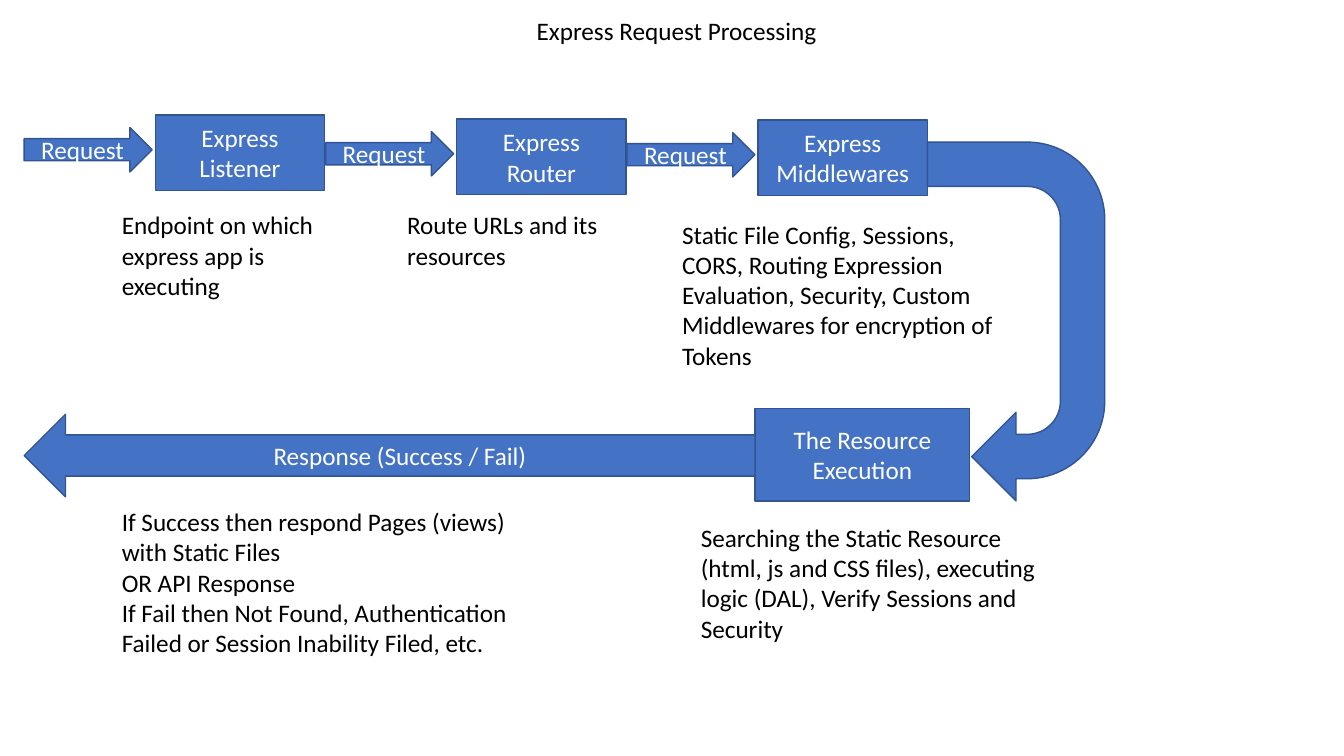
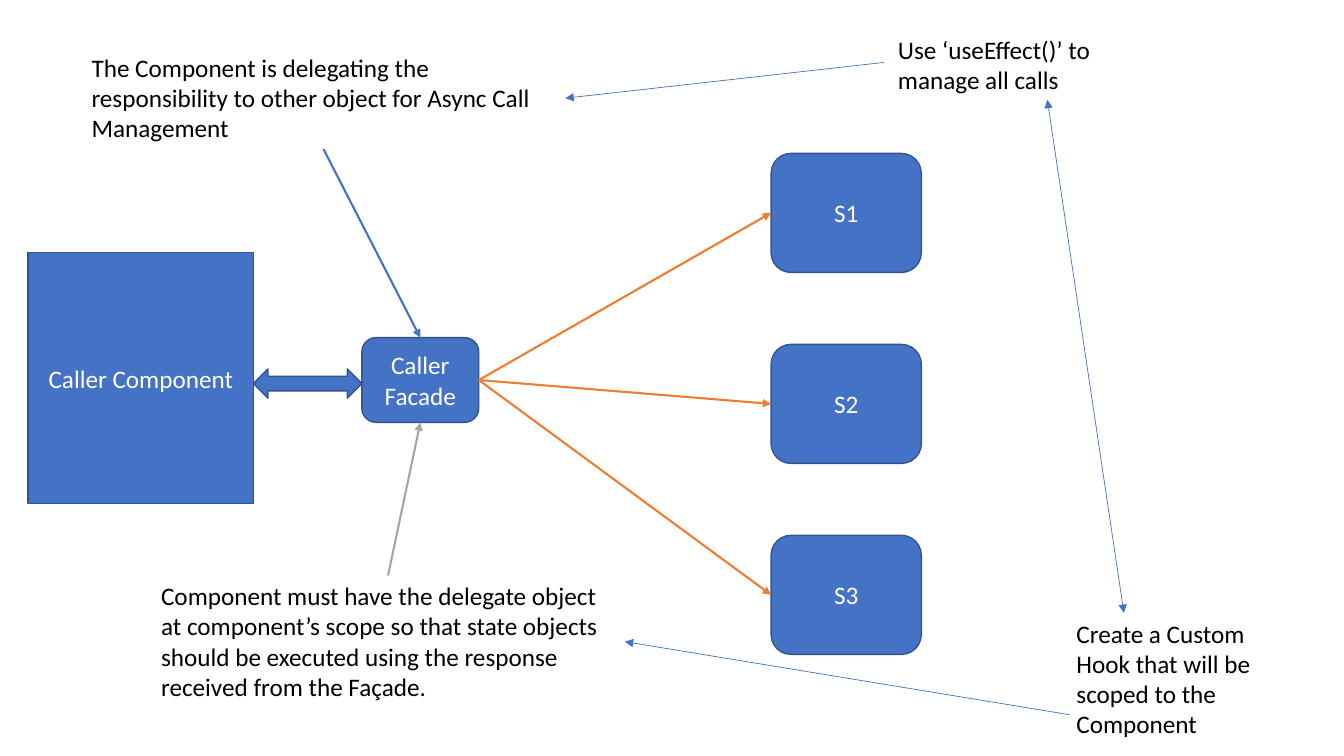
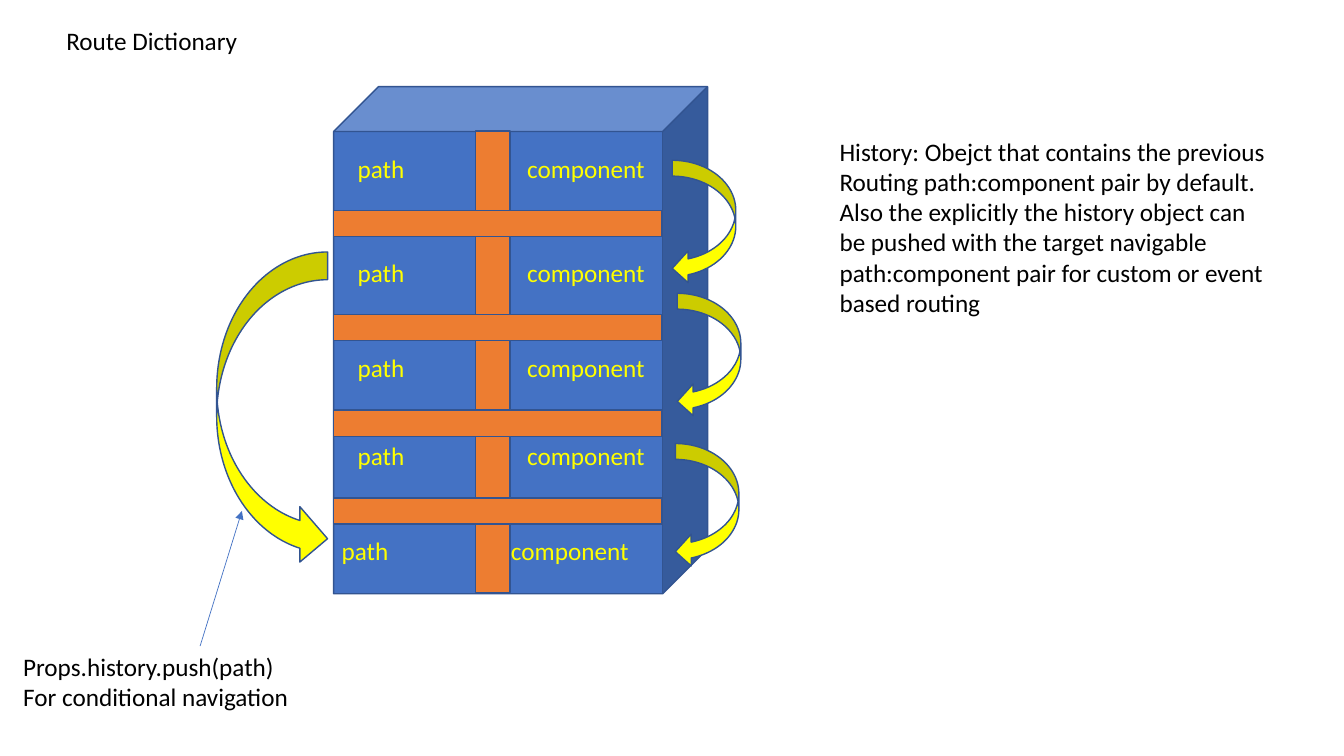
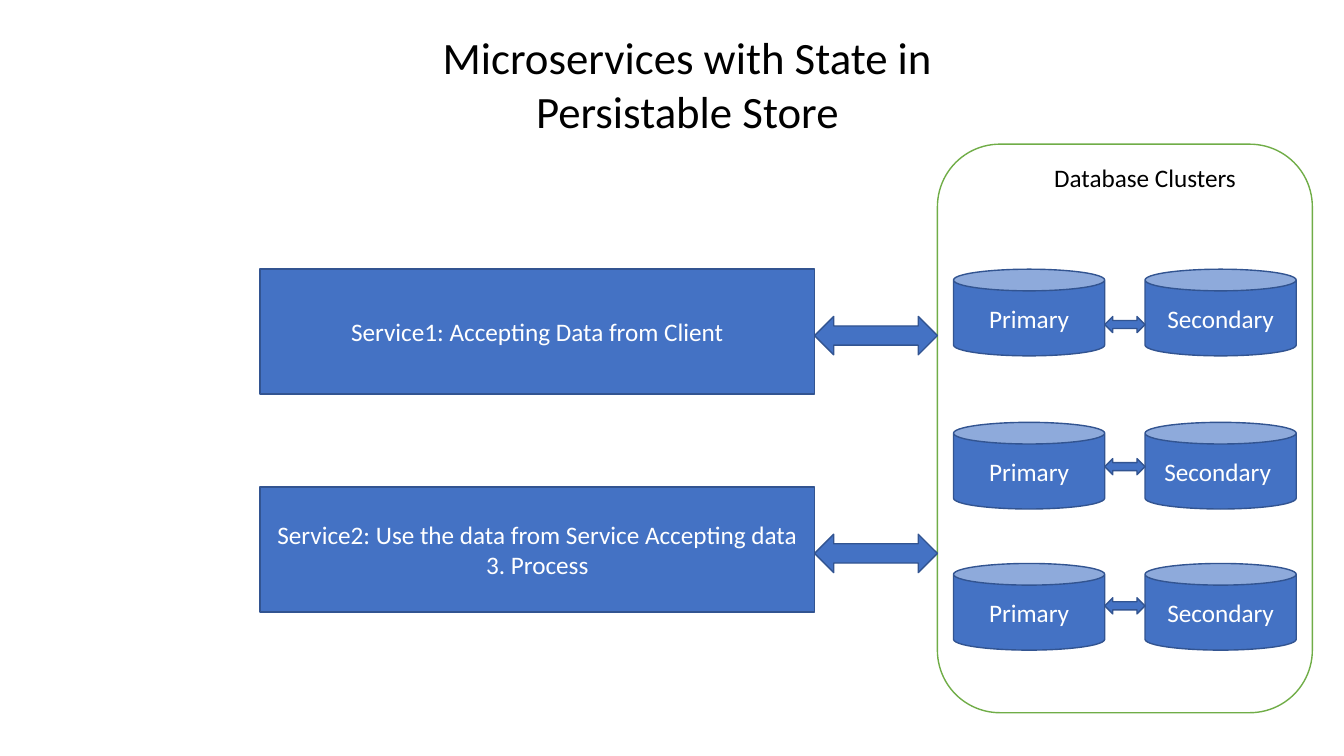
from lxml.etree import SubElement
from pptx import Presentation
from pptx.dml.color import RGBColor
from pptx.enum.shapes import MSO_CONNECTOR, MSO_SHAPE as Kind
from pptx.enum.text import MSO_ANCHOR, MSO_AUTO_SIZE, PP_ALIGN as Align
from pptx.oxml.ns import qn
from pptx.util import Pt

BLUE = RGBColor(0x44, 0x72, 0xC4)
EDGE = RGBColor(0x32, 0x54, 0x91)
ORANGE = RGBColor(0xED, 0x7D, 0x31)
GRAY = RGBColor(0xA5, 0xA5, 0xA5)
GREEN = RGBColor(0x70, 0xAD, 0x47)
YELLOW = RGBColor(0xFF, 0xFF, 0x00)
WHITE = RGBColor(0xFF, 0xFF, 0xFF)
BLACK = RGBColor(0x00, 0x00, 0x00)
FONT = "Calibri"
TOP, LEFT, BOTTOM, RIGHT = range(4)


def write(frame, text, color, align, size=18):
    frame.word_wrap = True
    frame.text = text
    for para in frame.paragraphs:
        para.alignment = align
        para.font.name = FONT
        para.font.size = Pt(size)
        para.font.color.rgb = color


def block(slide, kind, box, text="", fill=BLUE, edge=EDGE):
    shape = slide.shapes.add_shape(kind, *map(Pt, box))
    shape.shadow.inherit = False
    shape.fill.solid()
    shape.fill.fore_color.rgb = fill
    shape.line.color.rgb = edge
    shape.line.width = Pt(1)
    if text:
        shape.text_frame.vertical_anchor = MSO_ANCHOR.MIDDLE
        write(shape.text_frame, text, WHITE, Align.CENTER)
    return shape


def note(slide, box, text, color=BLACK, align=Align.LEFT, size=18):
    shape = slide.shapes.add_textbox(*map(Pt, box))
    write(shape.text_frame, text, color, align, size)
    shape.text_frame.auto_size = MSO_AUTO_SIZE.SHAPE_TO_FIT_TEXT
    return shape


def wire(slide, start, end, color=BLUE, width=0.5, both=False):
    """Draw an arrow; each end is an (x, y) point or a (shape, side) pair."""
    free = [(0, 0) if hasattr(tip[0], "shape_id") else tip
            for tip in (start, end)]
    line = slide.shapes.add_connector(
        MSO_CONNECTOR.STRAIGHT, *(Pt(n) for tip in free for n in tip))
    for tip, join in ((start, line.begin_connect), (end, line.end_connect)):
        if hasattr(tip[0], "shape_id"):
            join(*tip)
    line.line.color.rgb = color
    line.line.width = Pt(width)
    props = line.element.spPr
    stroke = props.find(qn("a:ln"))
    for tag in ("a:headEnd", "a:tailEnd")[0 if both else 1:]:
        SubElement(stroke, qn(tag), type="triangle")
    SubElement(props, qn("a:effectLst"))


def stage(slide, x, y, text):
    """Place a processing step with its request arrow on the left."""
    block(slide, Kind.RIGHT_ARROW, (x - 93.6, y + 9, 91.4, 31.7), "Request")
    block(slide, Kind.RECTANGLE, (x, y, 121, 54), text)


def express(slide):
    note(slide, (283.7, 7.2, 403.2, 29.1), "Express Request Processing ",
         align=Align.CENTER)
    steps = ((82.1, "Express Listener"), (85, "Express Router"),
             (85.7, "Express Middlewares"))
    for i, (y, text) in enumerate(steps):
        stage(slide, 110.9 + 215.3 * i, y, text)
    turn = block(slide, Kind.U_TURN_ARROW, (597.6, 166.3, 256.3, 126.7))
    turn.rotation = 90
    block(slide, Kind.RECTANGLE, (539.3, 291.6, 153.4, 66.2),
          "The Resource Execution")
    block(slide, Kind.LEFT_ARROW, (17.3, 295.9, 522, 59),
          "Response (Success / Fail)")
    note(slide, (79.9, 146.2, 168.5, 72.7),
         "Endpoint on which express app is executing")
    note(slide, (283.7, 146.2, 190.8, 50.9), "Route URLs and its resources")
    note(slide, (480.2, 152.9, 249.8, 116.3),
         "Static File Config, Sessions, CORS, Routing Expression Evaluation, "
         "Security, Custom Middlewares for encryption of Tokens")
    note(slide, (493.5, 369.4, 276.5, 94.5),
         "Searching the Static Resource (html, js and CSS files), executing "
         "logic (DAL), Verify Sessions and Security")
    note(slide, (79.9, 358.2, 297.4, 116.3),
         "If Success then respond Pages (views) with Static Files\n"
         "OR API Response\n"
         "If Fail then Not Found, Authentication Failed or Session Inability "
         "Filed, etc.")


def facade(slide):
    block(slide, Kind.RECTANGLE, (20, 180.5, 161.3, 179.3), "Caller Component")
    block(slide, Kind.LEFT_RIGHT_ARROW, (181, 263.5, 77.5, 20.9))
    hub = block(slide, Kind.ROUNDED_RECTANGLE, (258.5, 241.2, 83.5, 60.5),
                "Caller Facade")
    for i in range(3):
        unit = block(slide, Kind.ROUNDED_RECTANGLE,
                     (550.8, 109.6 + 136.4 * i, 107.3, 85), f"S{i + 1}")
        wire(slide, (hub, RIGHT), (unit, LEFT), ORANGE, 1.5)
    role = note(slide, (58.3, 33.8, 345.6, 72.7),
                "The Component is delegating the responsibility to other "
                "object for Async Call Management")
    scope = note(slide, (108, 411.1, 338.4, 94.5),
                 "Component must have the delegate object at component’s "
                 "scope so that state objects should be executed using the "
                 "response received from the Façade.")
    note(slide, (634.3, 20.9, 206.6, 50.9),
         "Use ‘useEffect()’ to manage all calls")
    note(slide, (761.8, 437.8, 144, 94.5),
         "Create a Custom Hook that will be scoped to the Component")
    wire(slide, (role, BOTTOM), (hub, TOP), BLUE, 1.5)
    wire(slide, (scope, TOP), (hub, BOTTOM), GRAY, 1.5)
    wire(slide, (631.4, 44.6), (role, RIGHT))
    wire(slide, (763.9, 510.5), (scope, RIGHT))
    wire(slide, (802.8, 437.8), (748.1, 71.3), both=True)


def pair(slide, x, y):
    """Label one route entry."""
    note(slide, (x, y, 80.6, 29.1), "path", YELLOW)
    note(slide, (x + 121, y, 100.1, 29.1), "component", YELLOW)


def rack(slide, x, y):
    """Build the cabinet of route entries from its top left corner."""
    cube = block(slide, Kind.CUBE, (x, y, 267.1, 362.2))
    cube.adjustments[0] = 0.12
    block(slide, Kind.RECTANGLE, (x + 101.5, y + 31.7, 24.5, 329.8),
          fill=ORANGE)
    for drop in (88.6, 162.7, 231.1, 293.8):
        block(slide, Kind.RECTANGLE, (x, y + drop, 234.7, 18.7), fill=ORANGE)
        pair(slide, x + 10.1, y + drop - 44.6)
    pair(slide, x - 1.4, y + 316.8)
    for dx, dy in ((241.9, 52.6), (245.5, 147.6), (244.1, 254.9)):
        block(slide, Kind.CURVED_LEFT_ARROW, (x + dx, y + dy, 45.4, 88.6),
              fill=YELLOW)
    block(slide, Kind.CURVED_RIGHT_ARROW, (x - 83.5, y + 118.1, 79.2, 224.6),
          fill=YELLOW)


def routes(slide):
    note(slide, (40.3, 14.4, 180, 29.1), "Route Dictionary")
    rack(slide, 238.3, 61.9)
    note(slide, (592.6, 93.6, 323.3, 138.2),
         "History: Obejct that contains the previous Routing path:component "
         "pair by default.\n"
         "Also the explicitly the history object can be pushed with the "
         "target navigable path:component pair for custom or event based "
         "routing")
    push = note(slide, (9.4, 461.5, 267.1, 50.9),
                "Props.history.push(path)\nFor conditional navigation")
    wire(slide, (push, TOP), (172.8, 365))


def service(slide, x, y, text):
    block(slide, Kind.RECTANGLE, (x, y, 396, 89.3), text)
    block(slide, Kind.LEFT_RIGHT_ARROW, (x + 396, y + 33.8, 87.8, 27.4))


def cluster(slide, x, y):
    """Build the database panel from its top left corner."""
    block(slide, Kind.ROUNDED_RECTANGLE, (x, y, 267.8, 406.1),
          fill=WHITE, edge=GREEN)
    note(slide, (x + 46.1, y + 9.4, 204.5, 29.1), "Database Clusters",
         align=Align.CENTER)
    rows = ((89.3, 33.8, "Secondary"), (198.7, 25.9, "Secondary "),
            (299.5, 24.5, "Secondary"))
    for dy, gap, text in rows:
        top = y + dy
        block(slide, Kind.CAN, (x + 11.5, top, 108, 61.9), "Primary")
        block(slide, Kind.CAN, (x + 148.3, top, 108, 61.9), text)
        block(slide, Kind.LEFT_RIGHT_ARROW, (x + 119.5, top + gap, 28.8, 11.5))


def stores(slide):
    note(slide, (265.7, 18, 450.7, 85),
         "Microservices with State in Persistable Store",
         align=Align.CENTER, size=32)
    cluster(slide, 669.6, 103)
    service(slide, 185.8, 192.2, "Service1: Accepting Data from Client")
    service(slide, 185.8, 347.8,
            "Service2: Use the data from Service Accepting data\n3. Process")


def main():
    deck = Presentation()
    deck.slide_width, deck.slide_height = Pt(960), Pt(540)
    for build in (express, facade, routes, stores):
        build(deck.slides.add_slide(deck.slide_layouts[6]))
    deck.save("out.pptx")


if __name__ == "__main__":
    main()
